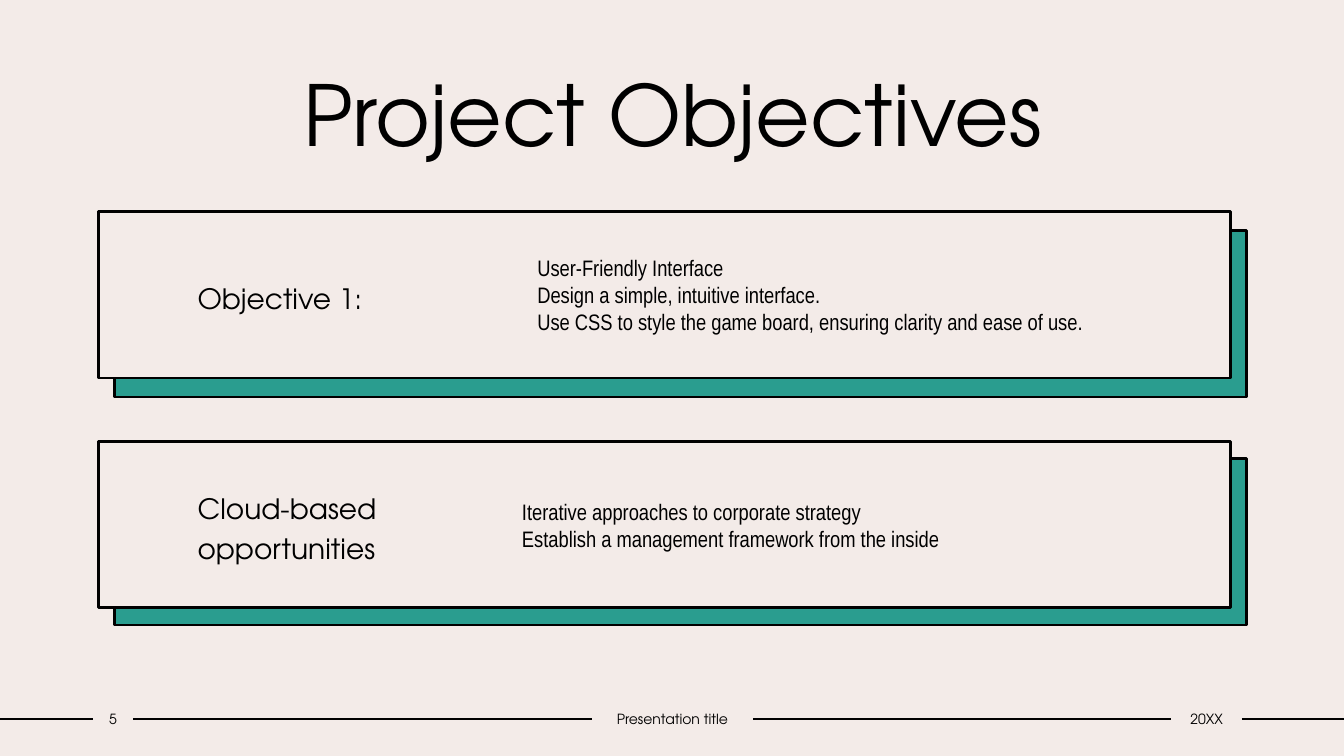
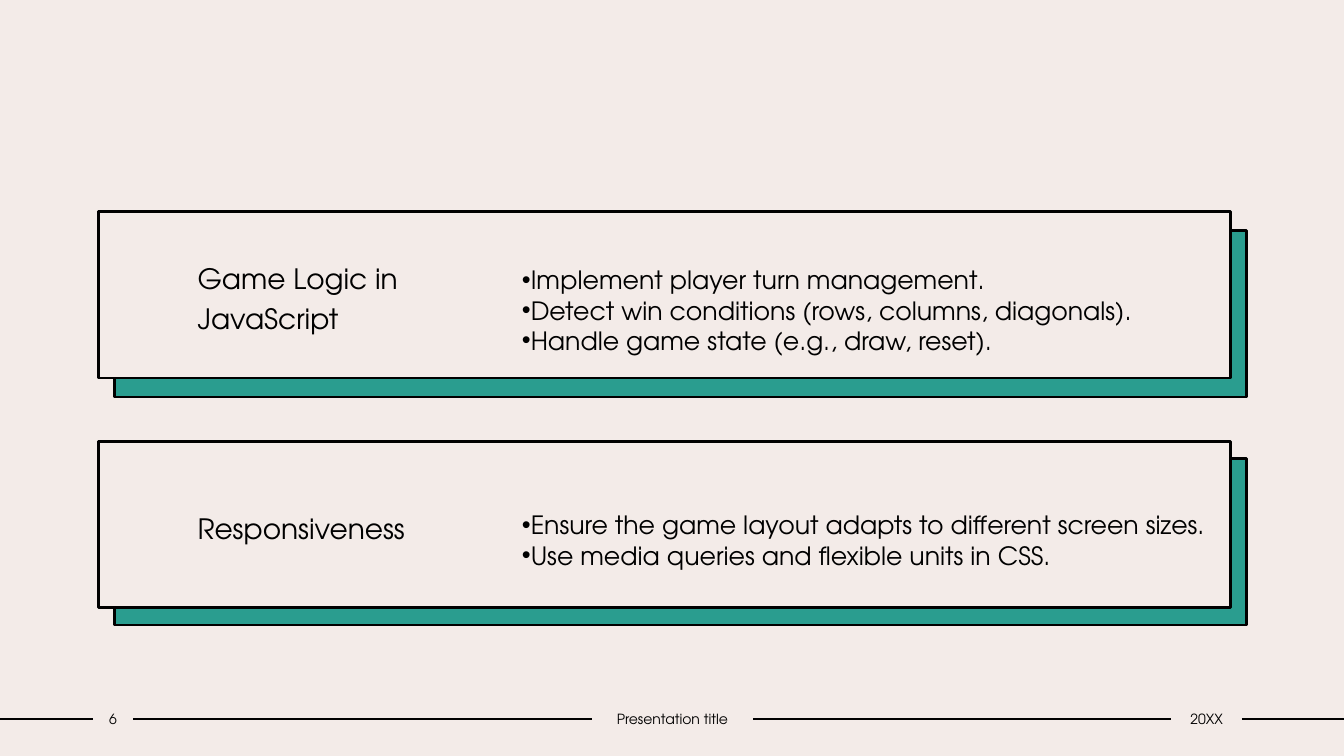
from lxml import etree
from pptx import Presentation
from pptx.dml.color import RGBColor
from pptx.enum import shapes, text
from pptx.oxml import ns
from pptx.util import Inches, Pt

# Shared look
PAPER = RGBColor(0xF3, 0xEB, 0xE8)
TEAL = RGBColor(0x2A, 0x9D, 0x8F)
INK = RGBColor(0, 0, 0)
DISPLAY = "TeX Gyre Adventor"
NARROW = "Arial Narrow"
SLIDE_W, SLIDE_H = Inches(13.333), Inches(7.5)
PAD_X, PAD_Y = Inches(0.1), Inches(0.05)


def across(percent):
    return round(SLIDE_W * percent / 100)


def down(percent):
    return round(SLIDE_H * percent / 100)


# Layout, as shares of the slide
CARD_LEFT, CARD_W, CARD_H = across(7.35), across(84.22), down(22)
CARD_ROWS = [(down(28), down(2.53)), (down(58.4), down(2.27))]  # top, shadow drop
SHADOW_SHIFT = across(1.2)
LABEL_INSETS = (across(7.35), PAD_Y, across(53.25), PAD_Y)
DETAIL_LEFT, DETAIL_W = across(38.1), across(53.78)
DETAIL_INDENT = across(1.13)
BULLET_DROP = down(4)
FOOTER_TOP, FOOTER_H = down(93.33), down(3.6)
FOOTER_SLOTS = [(across(6.9), across(3)), (across(44.03), across(12)),
                (across(87.15), across(5.25))]

# Content: one (label, detail lines, detail style) per card
SLIDES = [
    ("5", "Project Objectives", [
        ("Objective 1:",
         ["User-Friendly Interface", "Design a simple, intuitive interface.",
          "Use CSS to style the game board, ensuring clarity and ease of use."],
         {"indent": DETAIL_INDENT}),
        ("Cloud-based opportunities",
         ["Iterative approaches to corporate strategy",
          "Establish a management framework from the inside"], {}),
    ]),
    ("6", None, [
        ("Game Logic in JavaScript",
         ["Implement player turn management.",
          "Detect win conditions (rows, columns, diagonals).",
          "Handle game state (e.g., draw, reset)."], {"bulleted": True}),
        ("Responsiveness",
         ["Ensure the game layout adapts to different screen sizes.",
          "Use media queries and flexible units in CSS."], {"bulleted": True}),
    ]),
]


def write(shape, lines, size, font=DISPLAY, align=text.PP_ALIGN.LEFT,
          insets=(PAD_X, PAD_Y, PAD_X, PAD_Y), spacing=1.0):
    """Fill a shape with one paragraph per line, centred vertically."""
    frame = shape.text_frame
    frame.word_wrap = True
    frame.vertical_anchor = text.MSO_ANCHOR.MIDDLE
    (frame.margin_left, frame.margin_top,
     frame.margin_right, frame.margin_bottom) = insets
    for index, line in enumerate(lines):
        paragraph = frame.paragraphs[0] if index == 0 else frame.add_paragraph()
        paragraph.alignment = align
        paragraph.line_spacing = spacing
        run = paragraph.add_run()
        run.text = line
        run.font.name, run.font.size = font, Pt(size)
        run.font.color.rgb = INK
    return frame


def add_panel(slide, left, top, fill):
    panel = slide.shapes.add_shape(shapes.MSO_SHAPE.RECTANGLE, left, top, CARD_W, CARD_H)
    panel.shadow.inherit = False
    panel.fill.solid()
    panel.fill.fore_color.rgb = fill
    panel.line.color.rgb = INK
    panel.line.width = Pt(2)
    return panel


def add_bullet(paragraph):
    properties = paragraph._p.get_or_add_pPr()
    properties.set("marL", "0")
    properties.set("indent", "0")
    etree.SubElement(properties, ns.qn("a:buFont")).set("typeface", "Arial")
    etree.SubElement(properties, ns.qn("a:buChar")).set("char", "•")


def add_detail(slide, top, lines, bulleted=False, indent=0):
    detail = slide.shapes.add_textbox(DETAIL_LEFT, top, DETAIL_W, CARD_H)
    if bulleted:
        frame = write(detail, lines, 18, insets=(PAD_X, PAD_Y + BULLET_DROP, PAD_X, PAD_Y))
        for paragraph in frame.paragraphs:
            add_bullet(paragraph)
    else:
        write(detail, lines, 16, NARROW, insets=(PAD_X + indent, PAD_Y, PAD_X, PAD_Y))


def add_card(slide, row, label, lines, style):
    top, drop = row
    add_panel(slide, CARD_LEFT + SHADOW_SHIFT, top + drop, TEAL)
    write(add_panel(slide, CARD_LEFT, top, PAPER), [label], 20,
          insets=LABEL_INSETS, spacing=1.2)
    add_detail(slide, top, lines, **style)


def add_title(slide, title):
    heading = slide.shapes.add_textbox(across(9.38), down(7.47), across(81.3), down(14.8))
    write(heading, [title], 60, align=text.PP_ALIGN.CENTER)


def add_rule(slide, before, after):
    """Draw a footer rule between two slots, or out to the slide's edge."""
    middle = FOOTER_TOP + FOOTER_H // 2
    rule = slide.shapes.add_connector(shapes.MSO_CONNECTOR.STRAIGHT,
                                      0, middle, SLIDE_W, middle)
    if before is not None:
        rule.begin_connect(before, 3)
    if after is not None:
        rule.end_connect(after, 1)
    rule.line.color.rgb = INK
    rule.line.width = Pt(1)
    etree.SubElement(rule._element.spPr, ns.qn("a:effectLst"))


def add_footer(slide, number):
    slots = []
    for (left, width), words in zip(FOOTER_SLOTS, (number, "Presentation title", "20XX")):
        slot = slide.shapes.add_textbox(left, FOOTER_TOP, width, FOOTER_H)
        write(slot, [words], 10, align=text.PP_ALIGN.CENTER, insets=(0, PAD_Y, 0, PAD_Y))
        slots.append(slot)
    for before, after in zip([None, *slots], [*slots, None]):
        add_rule(slide, before, after)


def main():
    prs = Presentation()
    prs.slide_width, prs.slide_height = SLIDE_W, SLIDE_H
    backdrop = prs.slide_master.background.fill
    backdrop.solid()
    backdrop.fore_color.rgb = PAPER

    for number, title, cards in SLIDES:
        slide = prs.slides.add_slide(prs.slide_layouts[6])
        if title:
            add_title(slide, title)
        for row, card in zip(CARD_ROWS, cards):
            add_card(slide, row, *card)
        add_footer(slide, number)
    prs.save("out.pptx")


if __name__ == "__main__":
    main()
